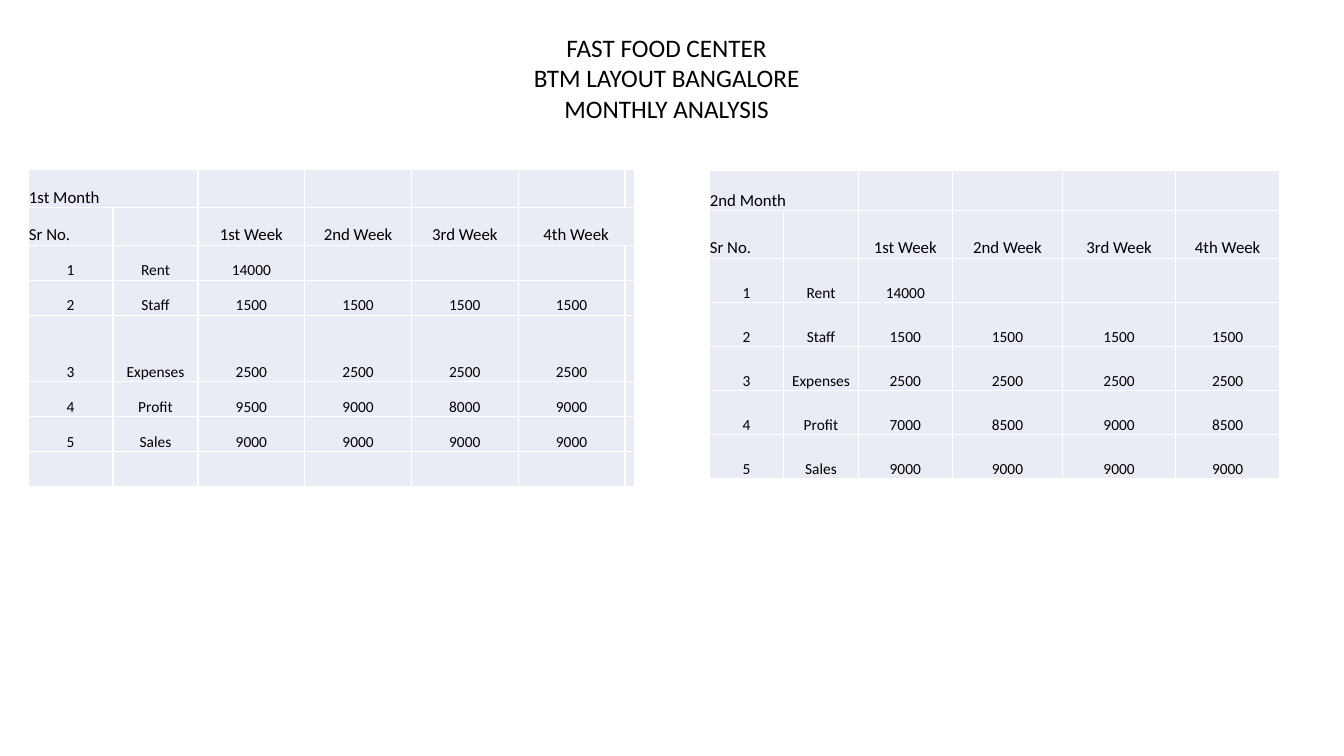
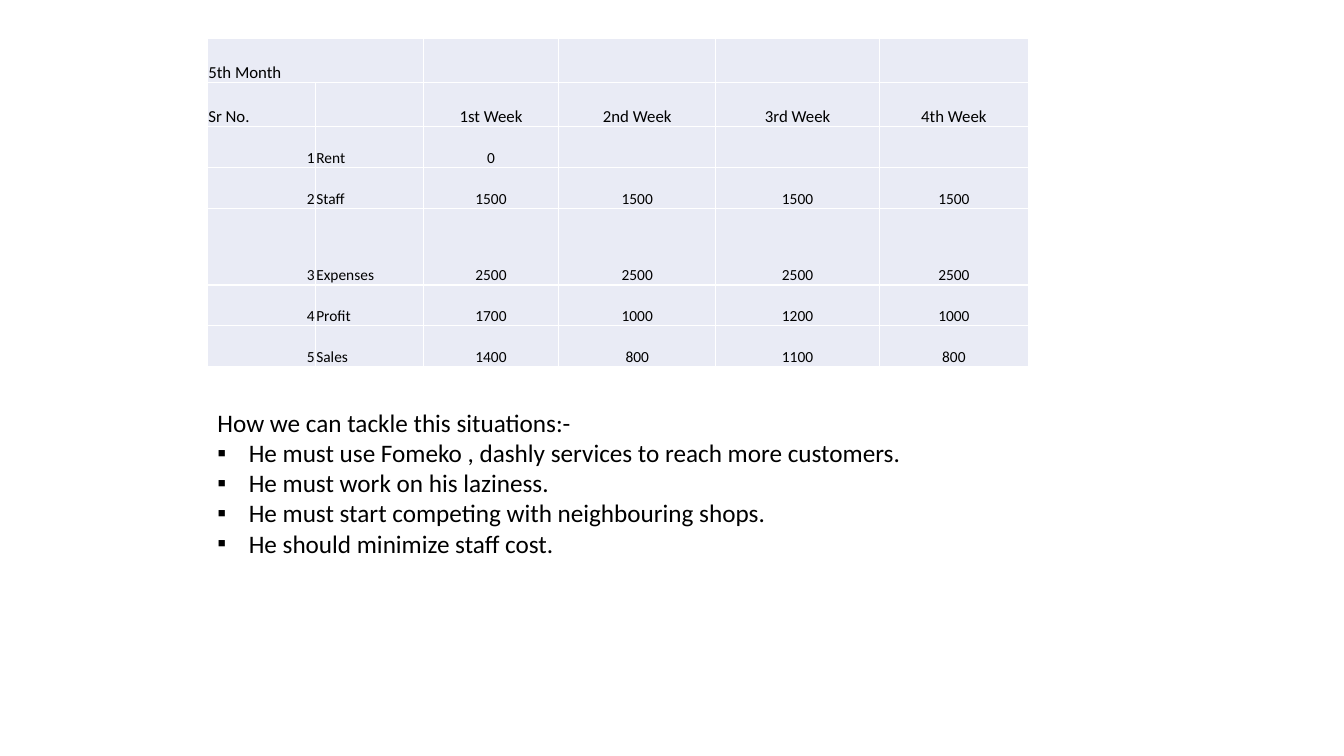
from dataclasses import dataclass

from lxml import etree
from pptx import Presentation
from pptx.dml.color import RGBColor
from pptx.enum.text import MSO_ANCHOR, MSO_AUTO_SIZE, PP_ALIGN
from pptx.oxml import parse_xml
from pptx.oxml.ns import nsdecls, qn
from pptx.util import Cm, Pt

LEFT, CENTER, RIGHT = PP_ALIGN.LEFT, PP_ALIGN.CENTER, PP_ALIGN.RIGHT
TOP, BOTTOM = MSO_ANCHOR.TOP, MSO_ANCHOR.BOTTOM
NO_FIT = MSO_AUTO_SIZE.NONE

BLACK = RGBColor(0x00, 0x00, 0x00)
WHITE = RGBColor(0xFF, 0xFF, 0xFF)
CELL_FILL = RGBColor(0xE9, 0xEB, 0xF5)
FONT = "Calibri"
TEXT_SIZE, HEAD_SIZE, BODY_SIZE = 18, 12, 11
TITLE_ONLY, BLANK = 5, 6

WEEKS = ["1st Week", "2nd Week", "3rd Week", "4th Week"]
ITEMS = ["Rent", "Staff", "Expenses", "Profit", "Sales"]
STAFF = [1500] * 4
EXPENSES = [2500] * 4


@dataclass
class Month:
    """Figures of one month and the measures of its table in cm."""
    name: str
    rent: int
    profit: list
    sales: list
    left: float
    top: float
    widths: list
    heights: list
    label_aligns: tuple = (CENTER, CENTER)


FIRST = Month("1st Month", 14000, [9500, 9000, 8000, 9000], [9000] * 4,
              0.71, 4.28, [2.14] * 2 + [2.69] * 4 + [0.23],
              [0.95] * 2 + [0.88] * 2 + [1.67] + [0.88] * 3)
SECOND = Month("2nd Month", 14000, [7000, 8500, 9000, 8500], [9000] * 4,
               17.87, 4.3, [1.88, 1.88, 2.37, 2.78, 2.85, 2.62],
               [1.01, 1.2] + [1.11] * 5)
FIFTH = Month("5th Month", 0, [1700, 1000, 1200, 1000], [1400, 800, 1100, 800],
              5.23, 0.97, [2.72, 2.72, 3.41, 3.96, 4.12, 3.76],
              [1.11] * 2 + [1.03] * 2 + [1.93] + [1.03] * 2, (RIGHT, LEFT))

TITLE_LINES = ["FAST FOOD CENTER", "BTM LAYOUT BANGALORE", "MONTHLY ANALYSIS"]
ADVICE_HEAD = "How we can tackle this situations:-"
ADVICE = [
    "He must use Fomeko , dashly services to reach more customers.",
    "He must work on his laziness.",
    "He must start competing with neighbouring shops.",
    "He should minimize staff cost.",
]


def add_span(para, text, size):
    """Add one run in the shared font."""
    span = para.add_run()
    span.text = text
    span.font.name = FONT
    span.font.size = Pt(size)
    span.font.color.rgb = BLACK


def add_lines(frame, lines, align):
    """Fill a text frame with one paragraph per line and return them."""
    frame.word_wrap = True
    frame.auto_size = NO_FIT
    frame.vertical_anchor = TOP
    paras = []
    for index, line in enumerate(lines):
        para = frame.add_paragraph() if index else frame.paragraphs[0]
        para.alignment = align
        add_span(para, line, TEXT_SIZE)
        paras.append(para)
    return paras


def set_bullet(para):
    """Give a paragraph a square bullet and a hanging indent."""
    props = para._p.get_or_add_pPr()
    props.set("marL", str(Cm(0.79)))
    props.set("indent", str(-Cm(0.79)))
    etree.SubElement(props, qn("a:buFont")).set("typeface", "Arial")
    etree.SubElement(props, qn("a:buChar")).set("char", "▪")


def style_cell(cell):
    """Give a cell its borders, fill, margins and anchor."""
    props = cell._tc.get_or_add_tcPr()
    for side in ("lnL", "lnR", "lnT", "lnB"):
        props.append(parse_xml(
            f'<a:{side} {nsdecls("a")} w="{Pt(1)}"><a:solidFill>'
            f'<a:srgbClr val="{WHITE}"/></a:solidFill></a:{side}>'))
    cell.fill.solid()
    cell.fill.fore_color.rgb = CELL_FILL
    cell.margin_left = cell.margin_right = cell.margin_top = Cm(0.02)
    cell.margin_bottom = 0
    cell.vertical_anchor = BOTTOM


def month_rows(month):
    """Return the rows of text in a month's table."""
    figures = [[month.rent], STAFF, EXPENSES, month.profit, month.sales]
    rows = [[month.name], ["Sr No.", ""] + WEEKS]
    for number, (item, values) in enumerate(zip(ITEMS, figures), 1):
        rows.append([str(number), item] + [str(value) for value in values])
    return rows


def add_month_table(page, month):
    """Place the table of one month."""
    widths, heights = month.widths, month.heights
    table = page.shapes.add_table(
        len(heights), len(widths), Cm(month.left), Cm(month.top),
        Cm(sum(widths)), Cm(sum(heights))).table
    table.first_row = table.horz_banding = False
    for column, width in zip(table.columns, widths):
        column.width = Cm(width)
    for row, height in zip(table.rows, heights):
        row.height = Cm(height)
    for cell in table.iter_cells():
        style_cell(cell)
    table.cell(0, 0).merge(table.cell(0, 1))
    if len(widths) > 6:
        table.cell(1, 5).merge(table.cell(1, 6))

    for row, texts in enumerate(month_rows(month)):
        is_head = row < 2
        label_aligns = (LEFT, LEFT) if is_head else month.label_aligns
        for column, text in enumerate(texts):
            if text:
                para = table.cell(row, column).text_frame.paragraphs[0]
                para.alignment = label_aligns[column] if column < 2 else CENTER
                add_span(para, text, HEAD_SIZE if is_head else BODY_SIZE)


def add_title(page, left, top, width, height):
    """Place the title lines in the title placeholder."""
    title = page.shapes.title
    title.left, title.top = Cm(left), Cm(top)
    title.width, title.height = Cm(width), Cm(height)
    add_lines(title.text_frame, TITLE_LINES, CENTER)


def add_advice(page, left, top, width, height):
    """Place the heading and the bulleted advice."""
    box = page.shapes.add_textbox(Cm(left), Cm(top), Cm(width), Cm(height))
    paras = add_lines(box.text_frame, [ADVICE_HEAD] + ADVICE, LEFT)
    for para in paras[1:]:
        set_bullet(para)


def build_comparison(deck):
    """Build the slide with the first two months."""
    page = deck.slides.add_slide(deck.slide_layouts[TITLE_ONLY])
    add_title(page, 0.43, 0.69, 32.74, 2.8)
    for month in (FIRST, SECOND):
        add_month_table(page, month)


def build_outlook(deck):
    """Build the slide with the fifth month and the advice."""
    page = deck.slides.add_slide(deck.slide_layouts[BLANK])
    add_month_table(page, FIFTH)
    add_advice(page, FIFTH.left, 10.13, 18.64, 4.11)


def main():
    """Build and save the deck."""
    deck = Presentation()
    deck.slide_width, deck.slide_height = Cm(33.87), Cm(19.05)
    build_comparison(deck)
    build_outlook(deck)
    deck.save("out.pptx")


if __name__ == "__main__":
    main()
